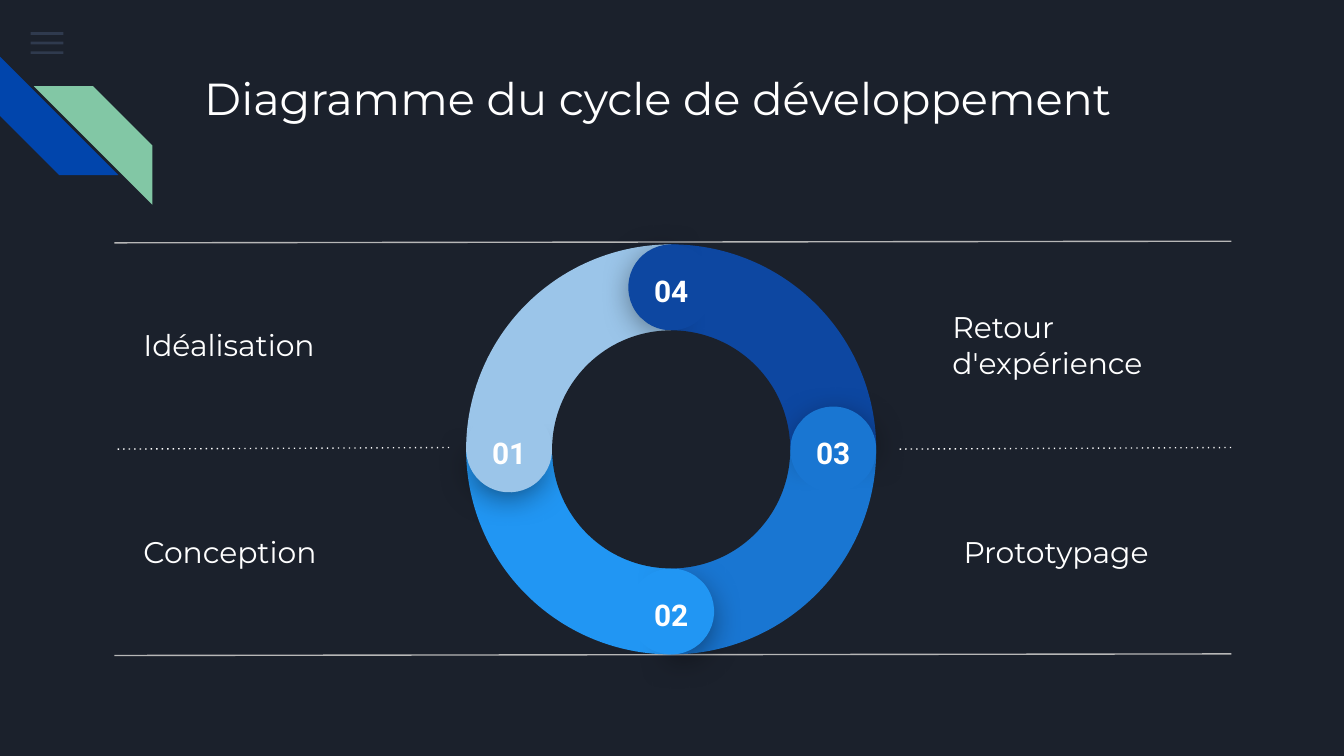
from dataclasses import dataclass
import math

import pptx
import pptx.dml.color
import pptx.enum.shapes
import pptx.enum.text
import pptx.oxml
import pptx.oxml.ns
import pptx.util
from pptx.util import Cm

SHAPE = pptx.enum.shapes.MSO_SHAPE
ALIGN = pptx.enum.text.PP_ALIGN
ANCHOR = pptx.enum.text.MSO_ANCHOR
qn = pptx.oxml.ns.qn


@dataclass(frozen=True)
class Theme:
    background: str = "1B212C"
    text: str = "FFFFFF"
    rule: str = "B7B7B7"
    menu: str = "55688B"
    stripe_blue: str = "0145AC"
    stripe_green: str = "82C7A5"
    phases: tuple = ("9BC5E9", "2196F3", "1976D2", "0D47A1")
    body_font: str = "Montserrat"
    number_font: str = "Roboto"
    title_size: int = 24
    body_size: int = 16
    rule_width: float = 0.75


THEME = Theme()


def rgb(color):
    return pptx.dml.color.RGBColor.from_string(color)


def add_filled(slide, kind, box, color, rotation=0, adjustments=()):
    shape = slide.shapes.add_shape(kind, *map(Cm, box))
    shape.shadow.inherit = False
    shape.fill.solid()
    shape.fill.fore_color.rgb = rgb(color)
    shape.line.fill.background()
    shape.rotation = rotation % 360
    for index, value in enumerate(adjustments):
        shape.adjustments[index] = value
    return shape


def square_at(x, y, size):
    """Box of a square centred on a point."""
    return x - size / 2, y - size / 2, size, size


def write(shape, text, size, font, anchor, align=ALIGN.LEFT, bold=False):
    frame = shape.text_frame
    frame.text = text
    frame.word_wrap = True
    frame.auto_size = pptx.enum.text.MSO_AUTO_SIZE.NONE
    frame.vertical_anchor = anchor
    frame.margin_left = frame.margin_right = Cm(0.25)
    frame.margin_top = frame.margin_bottom = Cm(0.25)
    paragraph = frame.paragraphs[0]
    paragraph.alignment = align
    run_font = paragraph.runs[0].font
    run_font.name, run_font.size, run_font.bold = font, pptx.util.Pt(size), bold
    run_font.color.rgb = rgb(THEME.text)


def add_rule(slide, left, right, y, color, dotted=False):
    """Horizontal rule, rising very slightly to the right."""
    rule = slide.shapes.add_connector(
        pptx.enum.shapes.MSO_CONNECTOR.STRAIGHT,
        Cm(right), Cm(y), Cm(left), Cm(y + 0.03))
    rule.line.color.rgb = rgb(color)
    rule.line.width = pptx.util.Pt(THEME.rule_width)
    if dotted:
        rule.line.dash_style = pptx.enum.dml.MSO_LINE.ROUND_DOT
        rule._element.spPr.find(".//" + qn("a:prstDash")).set("val", "dot")
    pptx.oxml.ns  # namespace helpers are shared with the shadow below
    rule._element.spPr.append(pptx.oxml.parse_xml(
        f"<a:effectLst {pptx.oxml.ns.nsdecls('a')}/>"))


def add_soft_shadow(shape):
    effects = shape._element.spPr.find(qn("a:effectLst"))
    effects.append(pptx.oxml.parse_xml(
        f'<a:outerShdw {pptx.oxml.ns.nsdecls("a")} blurRad="228600" dist="50800" '
        'dir="5400000" algn="t" rotWithShape="0"><a:srgbClr val="000000">'
        '<a:alpha val="55000"/></a:srgbClr></a:outerShdw>'))


def place_title(slide, box, text):
    title = slide.shapes.title
    title.left, title.top, title.width, title.height = map(Cm, box)
    write(title, text, THEME.title_size, THEME.body_font, ANCHOR.TOP)


def add_menu_icon(slide, box):
    left, top, width, height = box
    thickness = 0.05
    for row in range(3):
        y = top + row * (height - thickness) / 2
        bar = add_filled(slide, SHAPE.RECTANGLE, (left, y, width, thickness), THEME.menu)
        color = bar._element.spPr.find(".//" + qn("a:srgbClr"))
        color.append(pptx.oxml.parse_xml(
            f'<a:alpha {pptx.oxml.ns.nsdecls("a")} val="36000"/>'))


def add_corner_stripes(slide, box):
    left, top, width, height = box
    size = 2.24
    add_filled(slide, SHAPE.DIAGONAL_STRIPE, (left, top, size, size),
               THEME.stripe_blue, 270, (0.5,))
    add_filled(slide, SHAPE.DIAGONAL_STRIPE,
               (left + width - size, top + height - size, size, size),
               THEME.stripe_green, 90, (0.5,))


def add_label_grid(slide, box, labels):
    """Three rules, the middle one dotted, with labels on both sides."""
    left, top, width, height = box
    right, pitch, side = left + width, height / 2, 6.33
    for row, pair in enumerate(labels):
        for text, offset in pair:
            label = slide.shapes.add_textbox(
                Cm(left + offset), Cm(top + row * pitch + 1.34), Cm(5.16), Cm(1.24))
            write(label, text, THEME.body_size, THEME.body_font, ANCHOR.MIDDLE)
    for y in (top, top + height):
        add_rule(slide, left, right, y, THEME.rule)
    for start in (left, right - side):
        add_rule(slide, start, start + side, top + pitch, THEME.text, dotted=True)


def add_cycle(slide, box):
    """Ring of four quadrants, each ending in a numbered round cap."""
    left, top, diameter, _ = box
    x, y = left + diameter / 2, top + diameter / 2
    hub = 4.5
    cap = (diameter - hub) / 2
    middle = (diameter + hub) / 4
    for step, color in enumerate(THEME.phases):
        add_filled(slide, SHAPE.PIE, box, color, -90 * step, (108, 162))
    for step, color in enumerate(THEME.phases):
        angle = math.radians(180 - 90 * step)
        across, down = math.cos(angle), math.sin(angle)
        shade = square_at(x + 3.1 * across, y + 3.1 * down, 1.45)
        add_soft_shadow(add_filled(slide, SHAPE.PIE, shade, color,
                                   39.5 - 90 * step, (189.54, 83.81)))
        cap_x, cap_y = x + middle * across, y + middle * down
        add_filled(slide, SHAPE.CHORD, square_at(cap_x, cap_y, cap), color,
                   4.1 - 90 * step, (25, 18.12))
        number = slide.shapes.add_textbox(
            Cm(cap_x - 0.71), Cm(cap_y - 0.52), Cm(1.42), Cm(0.74))
        write(number, f"{step + 1:02}", THEME.body_size, THEME.number_font,
              ANCHOR.TOP, ALIGN.CENTER, bold=True)
    add_filled(slide, SHAPE.OVAL, square_at(x, y, hub), THEME.background)


def main():
    presentation = pptx.Presentation()
    presentation.slide_width, presentation.slide_height = Cm(25.4), Cm(14.29)
    slide = presentation.slides.add_slide(
        presentation.slide_layouts.get_by_name("Title Only"))
    slide.background.fill.solid()
    slide.background.fill.fore_color.rgb = rgb(THEME.background)

    add_menu_icon(slide, (0.58, 0.61, 0.62, 0.41))
    add_corner_stripes(slide, (0, 1.07, 2.88, 2.8))
    place_title(slide, (3.61, 1.09, 19.56, 2.54),
                "Diagramme du cycle de développement")
    add_label_grid(slide, (2.16, 4.56, 21.11, 7.8), (
        (("Idéalisation", 0.3), ("Retour d'expérience", 15.59)),
        (("Conception", 0.3), ("Prototypage", 15.8)),
    ))
    add_cycle(slide, (8.81, 4.62, 7.75, 7.75))
    presentation.save("out.pptx")


if __name__ == "__main__":
    main()
